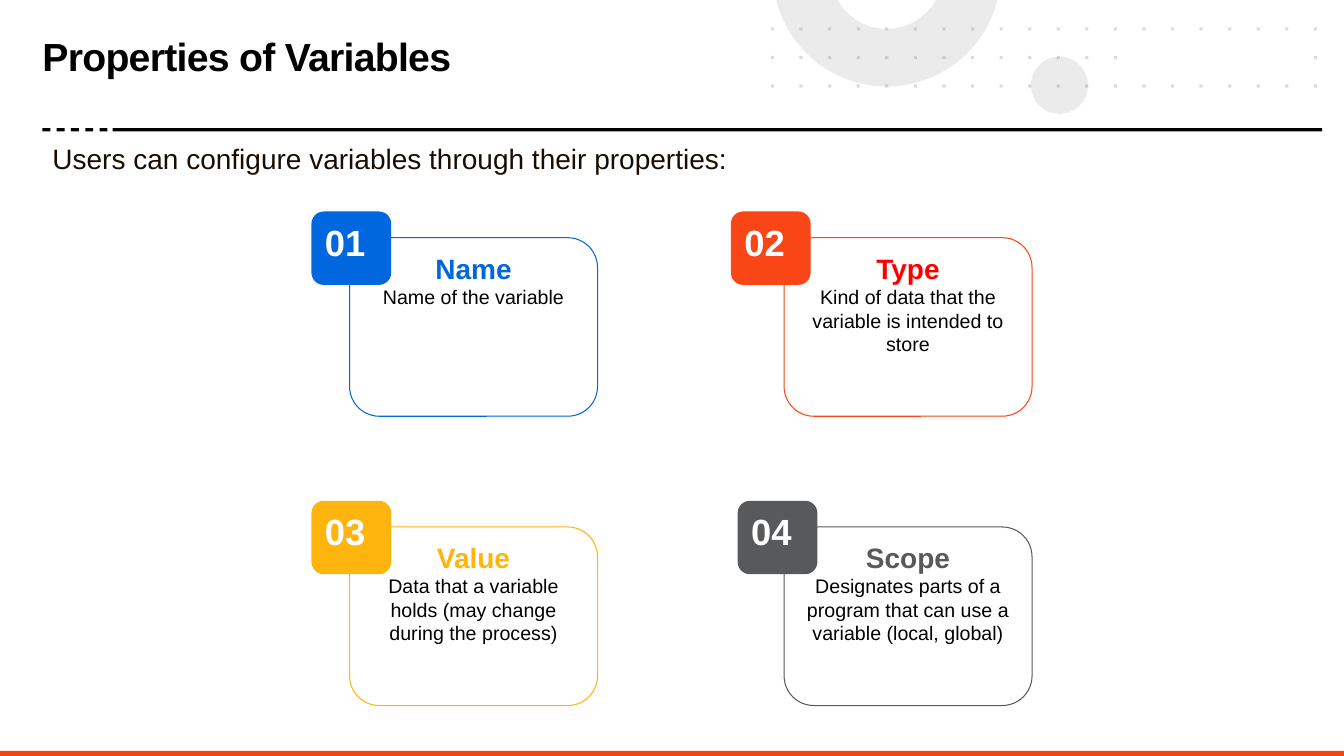
import math
from dataclasses import dataclass

from lxml import etree
from pptx import Presentation
from pptx import util as u
from pptx.dml.color import RGBColor
from pptx.enum import shapes, text
from pptx.oxml.ns import qn


@dataclass(frozen=True)
class Theme:
    font: str = "Arial"
    ink: str = "000000"
    lead: str = "1A0C02"
    white: str = "FFFFFF"
    pale: str = "D9D9D9"
    dot: str = "44546A"
    foot: str = "FA4211"
    blue: str = "0067DE"
    orange: str = "FA4616"
    red: str = "FF0000"
    gold: str = "FFB50E"
    gray: str = "58595B"
    title: int = 28
    large: int = 20
    small: int = 14
    badge: int = 26


class Deck:
    def __init__(self, theme):
        self.theme = theme
        self.prs = Presentation()
        self.prs.slide_width = u.Cm(33.87)
        self.prs.slide_height = u.Cm(19.05)
        self.slide = self.prs.slides.add_slide(self.prs.slide_layouts[5])

    def paint(self, shape, fill=None, line=None, alpha=None):
        shape.shadow.inherit = False
        if fill:
            shape.fill.solid()
            shape.fill.fore_color.rgb = RGBColor.from_string(fill)
        else:
            shape.fill.background()
        if line:
            shape.line.color.rgb = RGBColor.from_string(line)
            shape.line.width = u.Pt(0.75)
        else:
            shape.line.fill.background()
        if alpha:
            color = shape._element.spPr.find(qn("a:solidFill"))[0]
            etree.SubElement(color, qn("a:alpha")).set("val", str(alpha * 1000))

    def letter(self, shape, rows, align=text.PP_ALIGN.LEFT):
        frame = shape.text_frame
        frame.text = "\n".join(row[0] for row in rows)
        frame.word_wrap = True
        frame.vertical_anchor = text.MSO_ANCHOR.TOP
        for para, (_, size, color, bold) in zip(frame.paragraphs, rows):
            para.alignment = align
            for run in para.runs:
                run.font.name = self.theme.font
                run.font.size = u.Pt(size)
                run.font.bold = bold
                run.font.color.rgb = RGBColor.from_string(color)
        return frame

    def title(self, words, x, y, w, h):
        t = self.theme
        box = self.slide.shapes.title
        box.left, box.top, box.width, box.height = map(u.Cm, (x, y, w, h))
        frame = self.letter(box, [(words, t.title, t.ink, True)])
        frame.auto_size = text.MSO_AUTO_SIZE.NONE
        frame.margin_left = frame.margin_right = u.Cm(0)
        frame.margin_top = frame.margin_bottom = u.Cm(0)
        para = frame.paragraphs[0]
        para.line_spacing = 0.85
        para.runs[0].font._element.set("spc", "-50")

    def label(self, words, x, y, w, h):
        t = self.theme
        box = self.slide.shapes.add_textbox(*map(u.Cm, (x, y, w, h)))
        self.letter(box, [(words, t.large, t.lead, False)])

    def shape(self, kind, x, y, w, h, **look):
        item = self.slide.shapes.add_shape(kind, *map(u.Cm, (x, y, w, h)))
        self.paint(item, **look)
        return item

    def bar(self, x, y, w, h, color):
        self.shape(shapes.MSO_SHAPE.RECTANGLE, x, y, w, h, fill=color)

    def outline(self, loops, **look):
        pen = None
        for loop in loops:
            points = [(u.Cm(x), u.Cm(y)) for x, y in loop]
            if pen is None:
                pen = self.slide.shapes.build_freeform(*points[0])
            else:
                pen.move_to(*points[0])
            pen.add_line_segments(points[1:], close=True)
        self.paint(pen.convert_to_shape(), **look)

    def ring(self, x, y, outer, inner):
        def arc(r):
            start = math.asin(-y / r)
            step = (math.pi - 2 * start) / 60
            turns = [start + i * step for i in range(61)]
            return [(x + r * math.cos(a), y + r * math.sin(a)) for a in turns]

        self.outline([arc(outer) + arc(inner)[::-1]],
                     fill=self.theme.pale, alpha=50)

    def dots(self, cells, x, y, gap, size):
        loops = []
        for col, row in cells:
            a, b = x + col * gap, y + row * gap
            loops.append([(a, b), (a + size, b),
                          (a + size, b + size), (a, b + size)])
        self.outline(loops, fill=self.theme.dot, alpha=20)

    def card(self, x, y, tab, num, name, about, color, head):
        t = self.theme
        kind = shapes.MSO_SHAPE.ROUNDED_RECTANGLE
        frame = self.shape(kind, x, y, 6.25, 4.5, line=color)
        self.letter(frame, [(name, t.large, head, True),
                            (about, t.small, t.ink, False)],
                    text.PP_ALIGN.CENTER)
        badge = self.shape(kind, tab, y - 0.66, 2.01, 1.85, fill=color)
        self.letter(badge, [(f"{num:02}", t.badge, t.white, True)])


def main():
    t = Theme()
    deck = Deck(t)

    deck.shape(shapes.MSO_SHAPE.OVAL, 25.98, 1.43, 1.44, 1.44,
               fill=t.pale, alpha=50)
    deck.ring(22.35, -0.69, 2.87, 1.42)
    for first, last in ((14, 20), (0, 6), (6, 12), (12, 14)):
        cells = [(col, row) for row in range(3) for col in range(first, last)
                 if row != 1 or not 13 <= col <= 18]
        deck.dots(cells, 19.43, 0.69, 0.72, 0.08)

    deck.title("Properties of Variables", 1.07, 0.99, 18.36, 1.9)
    deck.bar(2.84, 3.23, 30.48, 0.08, t.ink)
    for i in range(5):
        deck.bar(1.07 + i * 0.36, 3.23, 0.2, 0.08, t.ink)
    deck.bar(0, 18.92, 33.87, 0.13, t.foot)
    deck.label("Users can configure variables through their properties:",
               1.07, 3.45, 32.18, 1.12)

    cards = [
        (7.85, "Name", "Name of the variable", t.blue, t.blue),
        (18.42, "Type", "Kind of data that the variable is intended to store",
         t.orange, t.red),
        (7.85, "Value",
         "Data that a variable holds (may change during the process)",
         t.gold, t.gold),
        (18.59, "Scope",
         "Designates parts of a program that can use a variable "
         "(local, global)", t.gray, t.gray),
    ]
    for i, (tab, name, about, color, head) in enumerate(cards):
        row, col = divmod(i, 2)
        deck.card(8.81 + col * 10.95, 5.99 + row * 7.29, tab, i + 1,
                  name, about, color, head)

    deck.prs.save("out.pptx")


if __name__ == "__main__":
    main()
